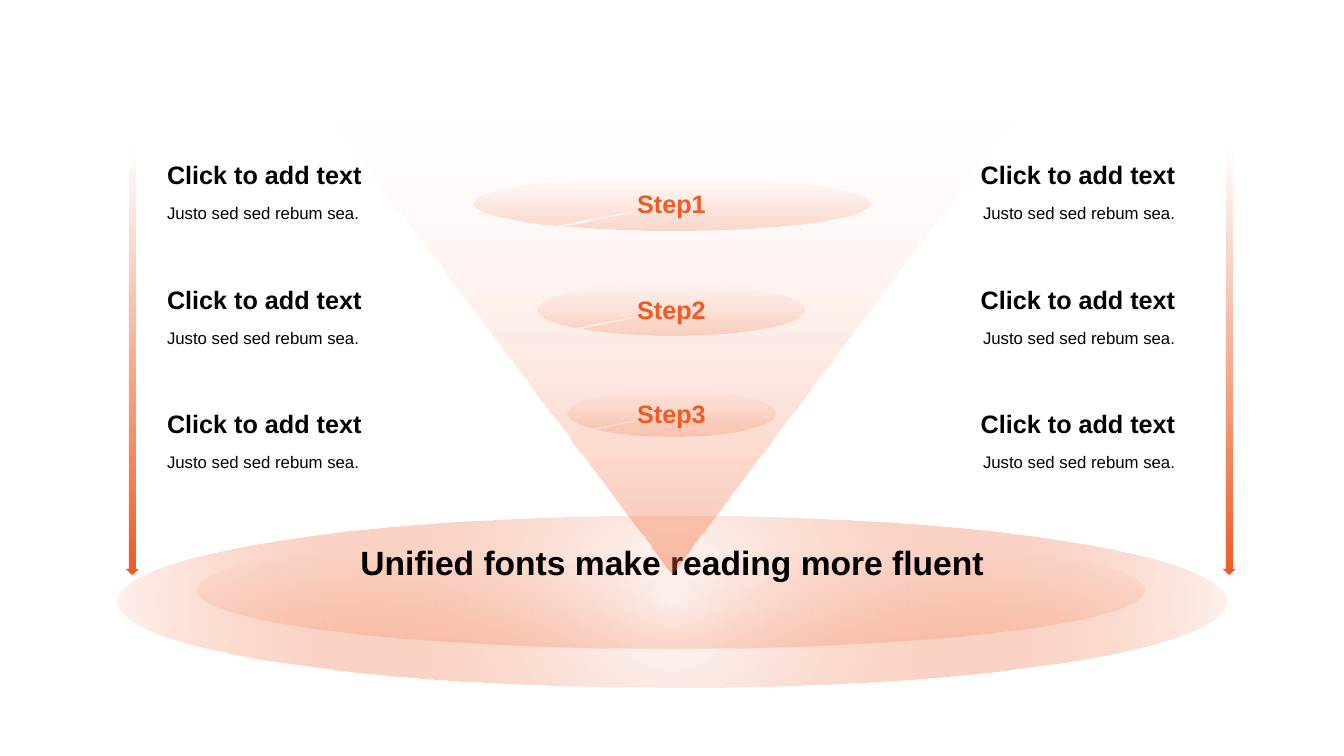
from pptx import Presentation
from pptx.dml.color import RGBColor
from pptx.enum.shapes import MSO_SHAPE as SHAPE
from pptx.enum.text import MSO_ANCHOR as ANCHOR, PP_ALIGN as ALIGN
from pptx.oxml import parse_xml
from pptx.oxml.ns import nsdecls, qn
from pptx.util import Cm, Pt

COLORS = {"accent": "F05A23", "pale": "FCDED3", "white": "FFFFFF", "text": "000000"}
CENTER = 16.92  # axis of the funnel, cm

DOWN = '<a:lin ang="5400000" scaled="0"/>'
UP = '<a:lin ang="16200000" scaled="0"/>'
RADIAL = ('<a:path path="circle"><a:fillToRect l="50000" t="50000" '
          'r="50000" b="50000"/></a:path>')


def set_gradient(sp, stops, direction):
    """Fill with (position %, colour name, opacity %) stops and no outline."""
    sp.shadow.inherit = False
    sp.line.fill.background()
    sp.fill.background()
    gs = "".join(
        f'<a:gs pos="{pos * 1000}"><a:srgbClr val="{COLORS[color]}">'
        f'<a:alpha val="{alpha * 1000}"/></a:srgbClr></a:gs>'
        for pos, color, alpha in stops)
    grad = parse_xml(f'<a:gradFill {nsdecls("a")} rotWithShape="1">'
                     f'<a:gsLst>{gs}</a:gsLst>{direction}</a:gradFill>')
    spPr = sp._element.spPr
    spPr.replace(spPr.find(qn("a:noFill")), grad)


def add_gradient_shape(s, kind, x, y, w, h, stops, direction=DOWN):
    sp = s.shapes.add_shape(kind, Cm(x), Cm(y), Cm(w), Cm(h))
    set_gradient(sp, stops, direction)
    return sp


def write(sp, text, size=18, bold=True, color="text", align=ALIGN.LEFT,
          anchor=ANCHOR.MIDDLE, spacing=None):
    tf = sp.text_frame
    tf.word_wrap = True
    tf.vertical_anchor = anchor
    p = tf.paragraphs[0]
    p.alignment = align
    if spacing:
        p.line_spacing = spacing
    r = p.add_run()
    r.text = text
    r.font.name = "Arial"
    r.font.size = Pt(size)
    r.font.bold = bold
    r.font.color.rgb = RGBColor.from_string(COLORS[color])


def add_text(s, x, y, w, h, text, **fmt):
    write(s.shapes.add_textbox(Cm(x), Cm(y), Cm(w), Cm(h)), text, **fmt)


def add_platform(s):
    add_gradient_shape(s, SHAPE.OVAL, 2.95, 13, 27.97, 4.32,
                       [(0, "white", 100), (100, "accent", 8)], RADIAL)
    add_gradient_shape(s, SHAPE.OVAL, 4.95, 13.39, 23.9, 2.95,
                       [(19, "accent", 0), (100, "accent", 19)])
    add_text(s, 6.07, 12.83, 21.74, 2.69, "Unified fonts make reading more fluent",
             size=24, align=ALIGN.CENTER)


def add_funnel(s):
    builder = s.shapes.build_freeform(Cm(6.3), Cm(0.28))
    builder.add_line_segments([(Cm(27.56), Cm(0.28)), (Cm(16.94), Cm(14.45))])
    set_gradient(builder.convert_to_shape(),
                 [(0, "accent", 37), (82, "pale", 0)], UP)


def add_step(s, number, w, h):
    y = 4.45 + 2.69 * (number - 1)
    sp = add_gradient_shape(s, SHAPE.ARC, CENTER - w / 2, y, w, h,
                            [(0, "accent", 0), (100, "accent", 21)])
    # Start and end angles leave an almost closed ellipse
    for i, degrees in enumerate((169.39, 168.24)):
        sp.adjustments[i] = degrees * 0.6
    write(sp, f"Step{number}", color="accent", align=ALIGN.CENTER)


def add_side(s, text_x, arrow_x, align):
    add_gradient_shape(s, SHAPE.DOWN_ARROW, arrow_x, 3.73, 0.32, 10.74,
                       [(0, "accent", 0), (100, "accent", 100)])
    for row in range(3):
        y = 3.66 + 3.14 * row
        add_text(s, text_x, y, 7.01, 1.24, "Click to add text",
                 align=align, anchor=ANCHOR.BOTTOM)
        add_text(s, text_x, y + 1.23, 7.01, 1.5, "Justo sed sed rebum sea.",
                 size=12, bold=False, align=align, anchor=ANCHOR.TOP, spacing=1.2)


def main():
    prs = Presentation()
    prs.slide_width, prs.slide_height = Cm(33.87), Cm(19.05)
    s = prs.slides.add_slide(prs.slide_layouts[6])

    # Base with the key message
    add_platform(s)

    # Notes and arrows on both sides, funnel between them
    add_side(s, 3.96, 3.16, ALIGN.LEFT)
    add_funnel(s)
    add_side(s, 22.86, 30.82, ALIGN.RIGHT)

    # Funnel steps
    for number, (w, h) in enumerate([(9.98, 1.35), (6.73, 1.32), (5.26, 1.17)], 1):
        add_step(s, number, w, h)

    prs.save("out.pptx")


if __name__ == "__main__":
    main()
